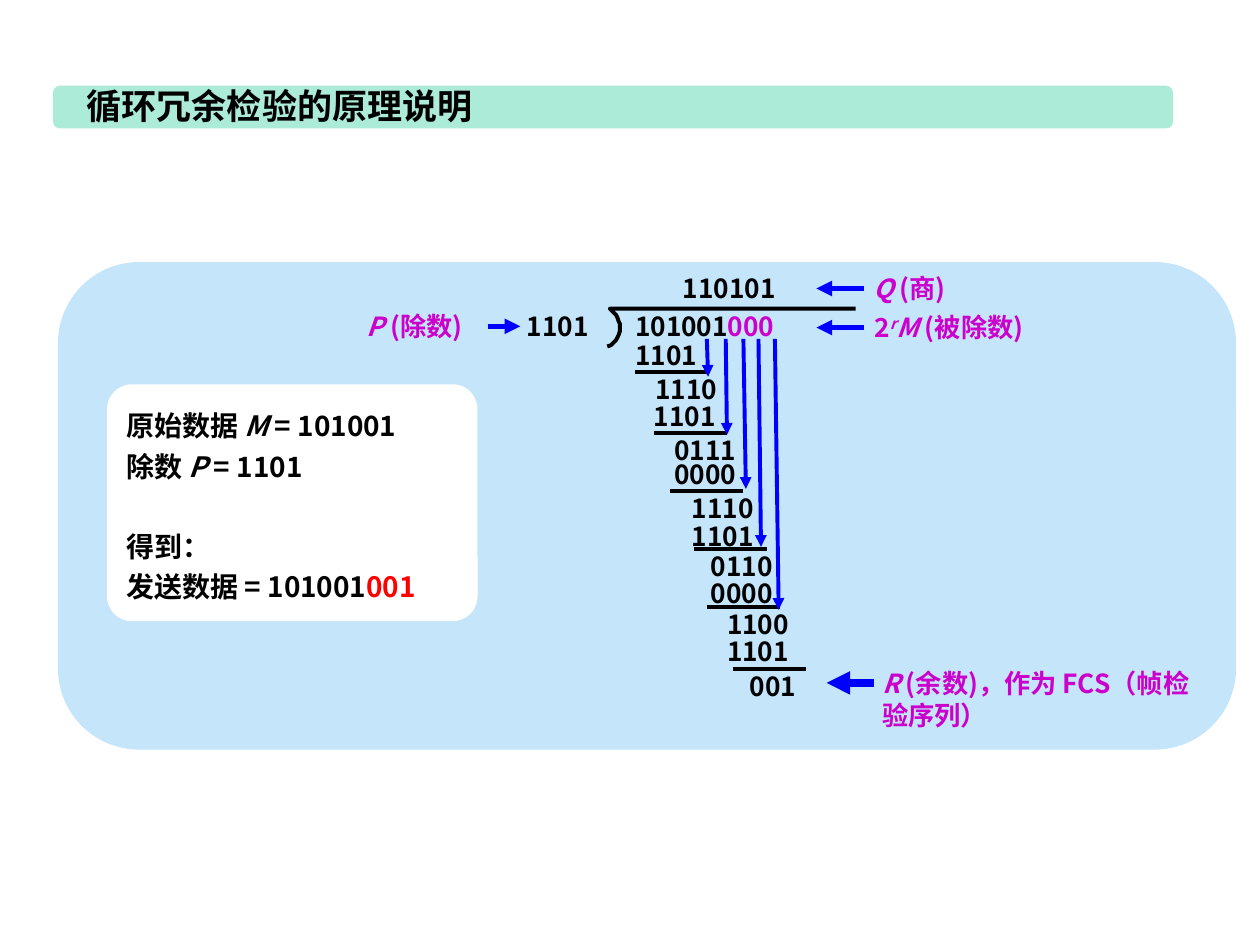
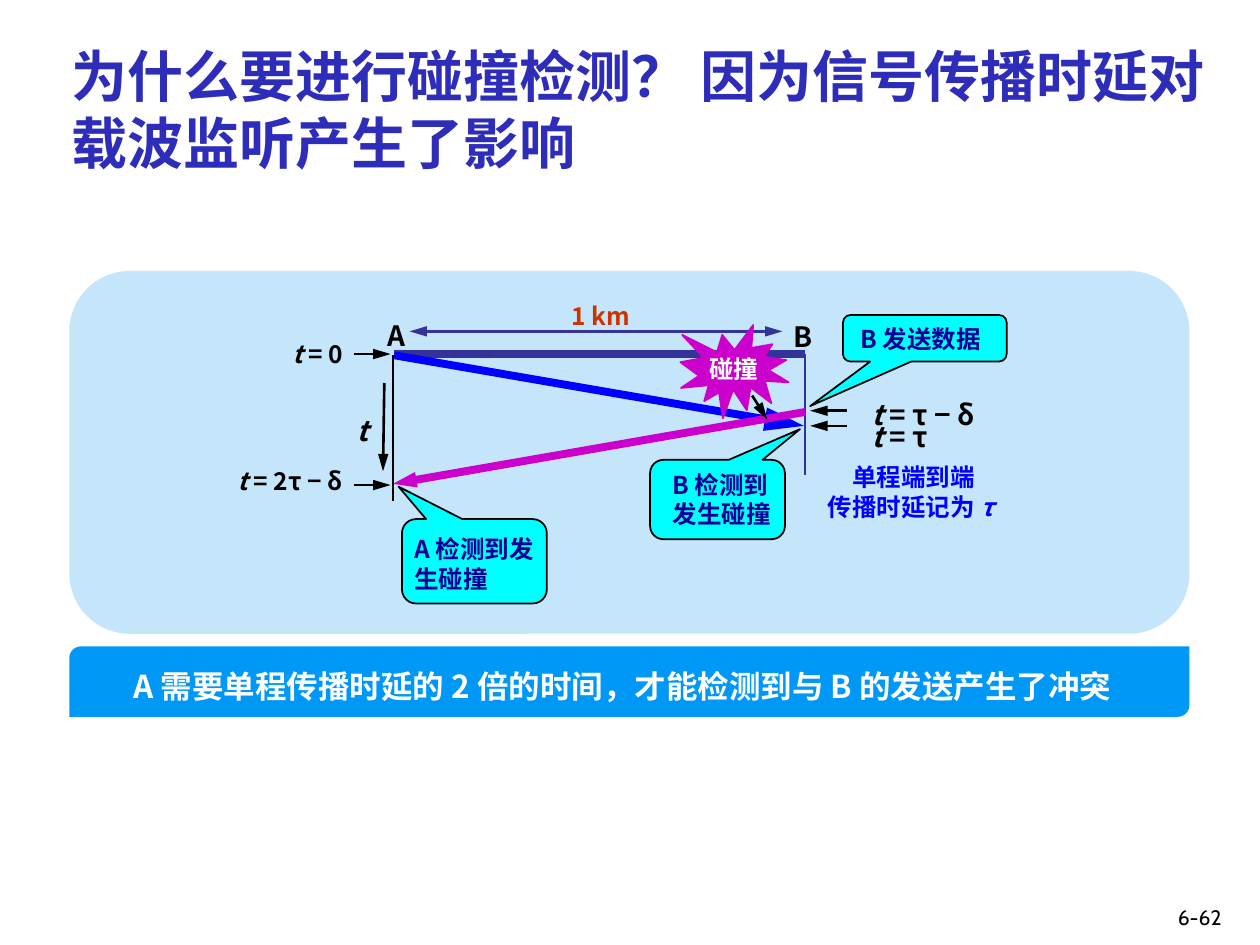
from typing import NamedTuple, Optional

from lxml import etree
from pptx import Presentation
from pptx.dml.color import RGBColor
from pptx.enum.shapes import MSO_CONNECTOR, MSO_SHAPE
from pptx.enum.text import MSO_ANCHOR, MSO_AUTO_SIZE, PP_ALIGN
from pptx.oxml.ns import qn
from pptx.util import Inches, Pt

ROUND = MSO_SHAPE.ROUNDED_RECTANGLE
DIAG = MSO_SHAPE.ROUND_2_DIAG_RECTANGLE
BURST = MSO_SHAPE.EXPLOSION1
CALLOUT = MSO_SHAPE.ROUNDED_RECTANGULAR_CALLOUT
STRAIGHT = MSO_CONNECTOR.STRAIGHT
MIDDLE = MSO_ANCHOR.MIDDLE
GROW, FIXED = MSO_AUTO_SIZE.SHAPE_TO_FIT_TEXT, MSO_AUTO_SIZE.NONE
LEFT, CENTER = PP_ALIGN.LEFT, PP_ALIGN.CENTER

FONT = "Noto Sans CJK SC"
COLORS = {
    "black": "000000", "white": "FFFFFF", "panel": "C5E5FB", "band": "ABEBD7",
    "title": "2D2DB9", "blue": "0000FF", "purple": "CC00CC", "red": "FF0000",
    "navy": "333399", "rust": "CC3300", "cyan": "00FFFF", "ink": "000099",
    "strip": "0098F6",
}


class Run(NamedTuple):
    text: str
    italic: bool = False
    color: Optional[str] = None
    raised: bool = False


def rgb(name):
    return RGBColor.from_string(COLORS[name])


def it(text):
    return Run(text, italic=True)


class Area:
    """Draws on a slide, with lengths measured from a top left corner."""

    def __init__(self, slide, left=0, top=0):
        self.shapes = slide.shapes
        self.left, self.top = left, top

    def point(self, x, y):
        return Inches(self.left + x), Inches(self.top + y)

    def frame(self, box):
        x, y, w, h = box
        return (*self.point(x, y), Inches(w), Inches(h))

    def shape(self, kind, box, fill, line=None, adj=()):
        item = self.shapes.add_shape(kind, *self.frame(box))
        item.shadow.inherit = False
        item.fill.solid()
        item.fill.fore_color.rgb = rgb(fill)
        if line:
            item.line.color.rgb = rgb(line)
            item.line.width = Pt(1)
        else:
            item.line.fill.background()
        for i, value in enumerate(adj):
            item.adjustments[i] = value
        return item

    def text(self, box, paras, size, color="black", wrap=False, inset=True,
             align=LEFT, auto=GROW, font=FONT, bold=True):
        item = self.shapes.add_textbox(*self.frame(box))
        frame = item.text_frame
        if not inset:
            frame.margin_left = frame.margin_right = 0
            frame.margin_top = frame.margin_bottom = 0
        write(frame, paras, size, color, wrap, align, font, bold)
        frame.auto_size = auto
        return frame

    def line(self, start, end, color="black", width=1.5, tail=None, head=None):
        """Draws a line; tail and head are (width, length) of an arrowhead."""
        item = self.shapes.add_connector(
            STRAIGHT, *self.point(*start), *self.point(*end))
        item.line.color.rgb = rgb(color)
        item.line.width = Pt(width)
        ln = item.line._get_or_add_ln()
        for tag, tip in (("a:headEnd", head), ("a:tailEnd", tail)):
            if tip:
                etree.SubElement(ln, qn(tag), type="triangle",
                                 w=tip[0], len=tip[1])
        etree.SubElement(item._element.spPr, qn("a:effectLst"))


MED = ("med", "med")
LONG = ("med", "lg")
SLIM = ("sm", "med")


def write(frame, paras, size, color, wrap=True, align=LEFT, font=FONT,
          bold=True):
    """Fills a frame; each paragraph is a list of strings and Runs."""
    frame.word_wrap = wrap
    for i, parts in enumerate(paras):
        para = frame.paragraphs[0] if i == 0 else frame.add_paragraph()
        para.alignment = align
        for part in parts:
            part = Run(part) if isinstance(part, str) else part
            run = para.add_run()
            run.text = part.text
            run.font.size = Pt(size)
            run.font.bold = bold
            run.font.italic = part.italic
            run.font.color.rgb = rgb(part.color or color)
            run.font.name = font
            props = run.font._element
            etree.SubElement(props, qn("a:ea"), typeface=font)
            if part.raised:
                props.set("baseline", "30000")


def panel(slide, box):
    """Draws the pale panel and gives the area inside it."""
    area = Area(slide, *box[:2])
    area.shape(ROUND, (0, 0, *box[2:]), "panel")
    return area


def band(slide, box, title):
    area = Area(slide, *box[:2])
    area.shape(ROUND, (0, 0, *box[2:]), "band", adj=[0.167])
    area.text((0.17, -0.06, 3.29, 0.44), [[title]], 20)


def labels(area):
    """Names the parts of the division and points at them."""
    notes = [
        ((2.45, 0.38, 0.88, 0.26), [it("P"), " (除数)"], False),
        ((6.47, 0.08, 0.68, 0.26), [it("Q"), " (商)"], False),
        ((6.48, 0.39, 1.75, 0.25),
         ["2", Run("r", italic=True, raised=True), it("M "), "(被除数)"], True),
        ((6.54, 3.22, 2.55, 0.5),
         [it("R"), " (余数)，作为 FCS（帧检验序列）"], True),
    ]
    for box, parts, wrap in notes:
        area.text(box, [parts], 15, "purple", wrap, inset=False)
    for start, end, y, width in [(3.41, 3.67, 0.51, 3), (6.4, 6.02, 0.21, 3),
                                 (6.4, 6.02, 0.52, 3), (6.48, 6.1, 3.34, 4.5)]:
        area.line((start, y), (end, y), "blue", width, MED)


def division(area):
    def bits(x, y, parts, width=0.58, wrap=False):
        area.text((x, y, width, 0.26), [parts], 15, wrap=wrap, inset=False)

    bits(3.72, 0.38, ["1101"])
    bits(4.96, 0.08, ["110101"], 1.08, True)
    bits(4.58, 0.38, ["101001", Run("000", color="purple")], 1.81, True)

    curve = [(4.36, 0.67), (4.39, 0.66), (4.41, 0.64), (4.43, 0.62),
             (4.45, 0.58), (4.46, 0.55), (4.46, 0.49), (4.45, 0.47),
             (4.44, 0.44), (4.43, 0.42), (4.42, 0.41), (4.4, 0.39),
             (4.38, 0.37), (6.33, 0.37)]
    points = [area.point(*p) for p in curve]
    pen = area.shapes.build_freeform(*points[0])
    pen.add_line_segments(points[1:], close=False)
    sign = pen.convert_to_shape()
    sign.shadow.inherit = False
    sign.fill.background()
    sign.line.color.rgb = rgb("black")
    sign.line.width = Pt(2.25)

    # product, its x and y, rule x and y, remainder, its x
    steps = [
        ("1101", 4.58, 0.61, 4.58, 0.87, "1110", 4.74),
        ("1101", 4.73, 1.1, 4.73, 1.36, "0111", 4.89),
        ("0000", 4.89, 1.56, 4.86, 1.82, "1110", 5.03),
        ("1101", 5.03, 2.05, 5.05, 2.28, "0110", 5.18),
        ("0000", 5.18, 2.5, 5.15, 2.74, "1100", 5.31),
        ("1101", 5.31, 2.96, 5.36, 3.23, "001", 5.49),
    ]
    for product, x, y, rule_x, rule_y, rest, rest_x in steps:
        bits(x, y, [product])
        bits(rest_x, rule_y + 0.01, [rest], 0.145 * len(rest))
        area.line((rule_x, rule_y), (rule_x + 0.58, rule_y), width=2.25)
    drops = [(5.15, 5.16, 0.91), (5.3, 5.31, 1.37), (5.44, 5.46, 1.8),
             (5.56, 5.58, 2.26), (5.69, 5.72, 2.76)]
    for start, end, y in drops:
        area.line((start, 0.61), (end, y), "blue", 2.25, MED)


def card(area, box):
    """Sums up the data that goes in and the data that is sent."""
    frame = area.shape(ROUND, box, "white", adj=[0.105]).text_frame
    frame.vertical_anchor = MIDDLE
    write(frame, [
        ["原始数据 ", it("M"), " = 101001"],
        ["除数 ", it("P"), " = 1101"],
        ["得到："],
        ["发送数据 = 101001", Run("001", color="red")],
    ], 16, "black")
    for para in frame.paragraphs:
        para.line_spacing = 1.2
    frame.paragraphs[2].space_before = Pt(23)


def signals(area):
    """Draws the two stations, the link and the signals on it."""
    area.line((2.58, 0.66), (5.84, 0.66), "navy", 4.5)
    area.line((2.7, 0.48), (5.66, 0.48), "navy", tail=LONG, head=LONG)
    area.text((3.89, 0.19, 0.69, 0.33), [["1 km"]], 14, "rust")
    area.line((2.57, 0.67), (2.57, 1.83))
    area.line((2.58, 0.67), (5.83, 1.23), "blue", 4.5, LONG)
    area.text((2.43, 0.33, 0.37, 0.37), [["A"]], 16)
    area.text((5.65, 0.34, 0.35, 0.37), [["B"]], 16)
    area.line((5.84, 0.66), (5.84, 1.62), "navy")
    area.line((5.84, 1.12), (2.57, 1.69), "purple", 4.5, SLIM)
    area.line((5.42, 0.99), (5.54, 1.18), tail=LONG)
    burst = area.shape(BURST, (4.85, 0.43, 0.86, 0.74), "purple", "purple")
    burst.text_frame.vertical_anchor = MIDDLE
    write(burst.text_frame, [["碰撞"]], 14, "white", False, CENTER)


def times(area):
    """Marks the moments along both time axes."""
    area.line((2.5, 0.89), (2.49, 1.59), tail=LONG)
    marks = [
        ((2.18, 1.08, 0.29, 0.37), "", 16),
        ((1.67, 0.49, 0.67, 0.34), " = 0", 14),
        ((1.24, 1.5, 1.07, 0.34), " = 2τ − δ", 14),
        ((6.27, 0.96, 1.12, 0.37), " = τ − δ", 16),
        ((6.27, 1.13, 0.71, 0.37), " = τ", 16),
    ]
    for box, value, size in marks:
        area.text(box, [[it("t"), value] if value else [it("t")]], size)
    for start, end, y in [(2.26, 2.55, 0.66), (2.26, 2.55, 1.7),
                          (6.17, 5.88, 1.11), (6.17, 5.88, 1.23)]:
        area.line((start, y), (end, y), tail=LONG)
    area.text((5.91, 1.47, 1.58, 0.57),
              [["单程端到端"], ["传播时延记为 ", it("τ ")]], 14, "blue",
              align=CENTER)


def callouts(area):
    # bubble, tip, text box, wording
    notes = [
        ((2.64, 1.97, 1.15, 0.67), (-0.523, -0.884),
         (2.64, 2.04, 1.29, 0.57), "A 检测到发生碰撞"),
        ((6.14, 0.35, 1.3, 0.37), (-0.7, 1.455),
         (6.18, 0.37, 1.37, 0.34), "B 发送数据"),
        ((4.61, 1.5, 1.07, 0.63), (0.612, -0.887),
         (4.69, 1.53, 1.14, 0.57), "B 检测到发生碰撞"),
    ]
    for bubble, tip, box, words in notes:
        area.shape(CALLOUT, bubble, "cyan", "black", [*tip, 0.167])
        area.text(box, [[words]], 14, "ink", wrap=True)


def strip(slide, box, words):
    """Draws the bar with the conclusion."""
    area = Area(slide, *box[:2])
    area.shape(DIAG, (0, 0, *box[2:]), "strip")
    frame = area.text((0.41, 0.04, 8.42, 0.45), [[words]], 18, "white",
                      wrap=True)
    frame.paragraphs[0].line_spacing = Pt(27)


def check_slide(slide):
    area = panel(slide, (0.46, 2.08, 9.35, 3.87))
    band(slide, (0.42, 0.68, 8.89, 0.34), "循环冗余检验的原理说明")
    division(area)
    labels(area)
    card(area, (0.39, 0.97, 2.94, 1.88))


def crash_slide(slide):
    area = panel(slide, (0.55, 2.15, 8.89, 2.88))
    signals(area)
    callouts(area)
    times(area)
    strip(slide, (0.55, 5.13, 8.89, 0.56),
          "A 需要单程传播时延的 2 倍的时间，才能检测到与 B 的发送产生了冲突")
    page = Area(slide)
    page.text((9.25, 7.13, 0.6, 0.3), [["6-62"]], 12, wrap=True, auto=FIXED,
              font="Cabin", bold=False)
    page.text((0.47, 0.28, 9.31, 1.25),
              [["为什么要进行碰撞检测？ 因为信号传播时延对载波监听产生了影响"]],
              32, "title", wrap=True, auto=FIXED)


def main():
    deck = Presentation()
    deck.slide_width, deck.slide_height = Inches(10), Inches(7.5)
    blank = deck.slide_layouts[6]
    for build in (check_slide, crash_slide):
        build(deck.slides.add_slide(blank))
    deck.save("out.pptx")


if __name__ == "__main__":
    main()
